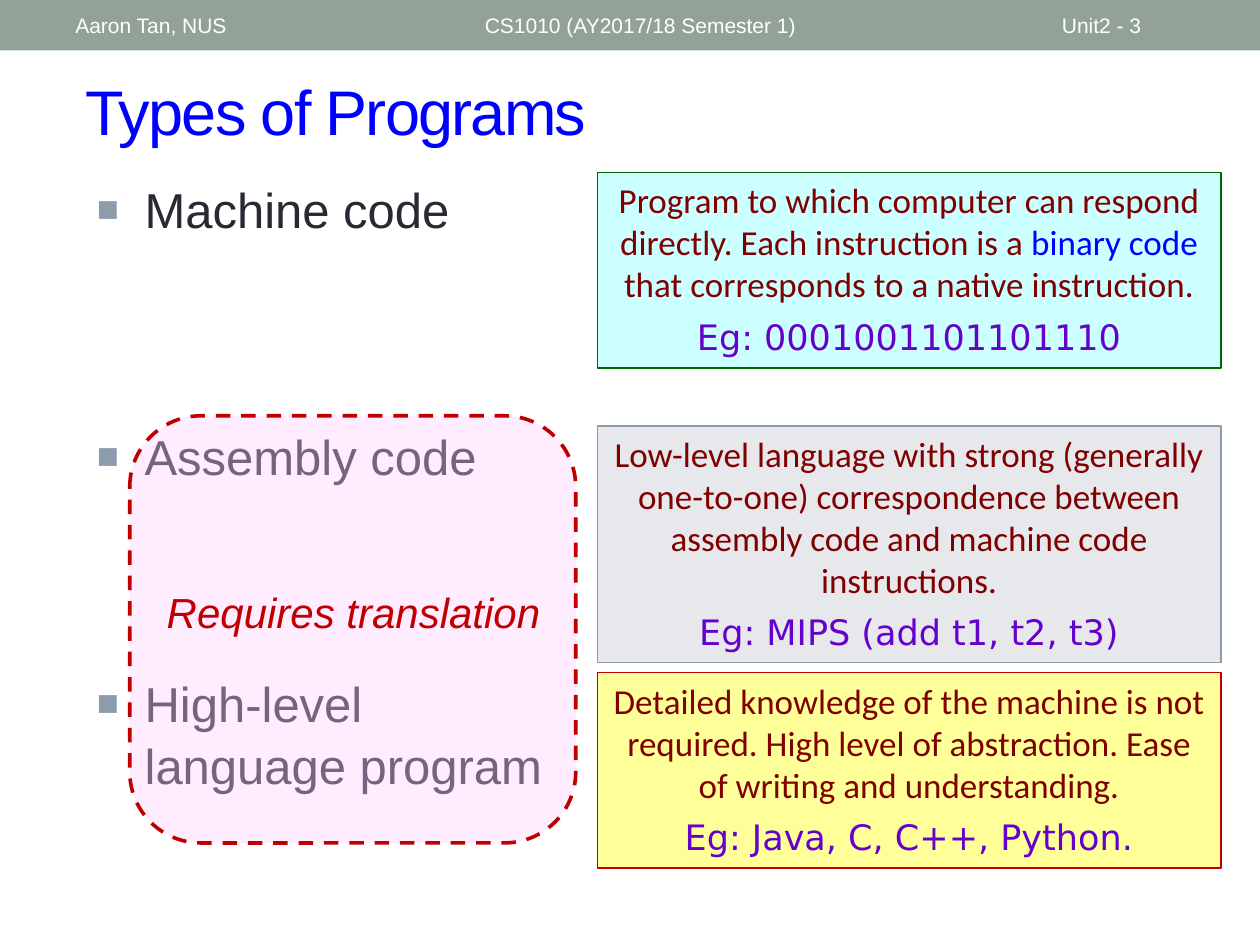
from dataclasses import dataclass

import pptx
import pptx.dml.color
import pptx.enum.dml
import pptx.enum.shapes
import pptx.enum.text
import pptx.oxml
import pptx.oxml.ns
import pptx.util

ALIGN = pptx.enum.text.PP_ALIGN
ANCHOR = pptx.enum.text.MSO_ANCHOR
SHAPE = pptx.enum.shapes.MSO_SHAPE


@dataclass(frozen=True)
class Theme:
    font: str = "Arial"
    body_font: str = "Calibri"
    example_font: str = "DejaVu Sans"
    band: str = "93A299"
    white: str = "FFFFFF"
    blue: str = "0000FF"
    ink: str = "292934"
    bullet: str = "8C9CAD"
    maroon: str = "800000"
    purple: str = "6600CC"
    red: str = "C00000"
    pink: str = "FFCCFF"
    header_size: float = 12
    title_size: float = 36
    list_size: float = 28
    note_size: float = 24
    body_size: float = 20


THEME = Theme()


@dataclass(frozen=True)
class Box:
    left: float
    top: float
    width: float
    height: float

    def share(self, x, y, w, h):
        """Box at percentages of this one."""
        return Box(self.left + self.width * x / 100, self.top + self.height * y / 100,
                   self.width * w / 100, self.height * h / 100)

    def emu(self):
        return [pptx.util.Inches(n) for n in (self.left, self.top, self.width, self.height)]


PAGE = Box(0, 0, 10, 7.5)

PROGRAM_TYPES = ["Machine code", "Assembly code", "High-level language program"]

# top and height in percent of the page, fill, line, description runs, example
DESCRIPTIONS = [
    (18.27, 20.67, "CCFFFF", "006600",
     [("Program to which computer can respond directly. Each instruction is a ", THEME.maroon),
      ("binary code ", THEME.blue),
      ("that corresponds to a native instruction.", THEME.maroon)],
     "Eg: 0001001101101110"),
    (45.07, 25.07, "E6E8EC", "8C9CAD",
     [("Low-level language with strong (generally one-to-one) correspondence between "
       "assembly code and machine code instructions.", THEME.maroon)],
     "Eg: MIPS (add t1, t2, t3)"),
    (71.2, 20.67, "FFFF99", "C00000",
     [("Detailed knowledge of the machine is not required. High level of abstraction. "
       "Ease of writing and understanding.", THEME.maroon)],
     "Eg: Java, C, C++, Python."),
]


def rgb(color):
    return pptx.dml.color.RGBColor.from_string(color)


def add_run(paragraph, text, size, color, font=THEME.font, italic=None):
    run = paragraph.add_run()
    run.text = text
    run.font.name = font
    run.font.size = pptx.util.Pt(size)
    run.font.color.rgb = rgb(color)
    run.font.italic = italic
    return run


def add_text_frame(shapes, box, anchor=ANCHOR.TOP):
    frame = shapes.add_textbox(*box.emu()).text_frame
    frame.word_wrap = True
    frame.vertical_anchor = anchor
    return frame


def add_panel(shapes, kind, box, fill, line=None, width=0.75):
    panel = shapes.add_shape(kind, *box.emu())
    panel.shadow.inherit = False
    panel.fill.solid()
    panel.fill.fore_color.rgb = rgb(fill)
    if line:
        panel.line.color.rgb = rgb(line)
        panel.line.width = pptx.util.Pt(width)
    else:
        panel.line.fill.background()
    return panel


def add_header(slide, box):
    add_panel(slide.shapes, SHAPE.RECTANGLE, box, THEME.band)
    for text, x, w in [("Aaron Tan, NUS", 5, 31.7),
                       ("CS1010 (AY2017/18 Semester 1)", 37.5, 45),
                       ("Unit2 - 3", 83.3, 11.7)]:
        frame = add_text_frame(slide.shapes, box.share(x, 5, w, 90), ANCHOR.MIDDLE)
        add_run(frame.paragraphs[0], text, THEME.header_size, THEME.white)


def set_title(slide, box, text):
    title = slide.shapes.title
    title.left, title.top, title.width, title.height = box.emu()
    title.text_frame.vertical_anchor = ANCHOR.MIDDLE
    paragraph = title.text_frame.paragraphs[0]
    paragraph.alignment = ALIGN.LEFT
    run = add_run(paragraph, text, THEME.title_size, THEME.blue)
    run.font._element.set("spc", "-100")


def add_bullet(paragraph):
    props = paragraph._p.get_or_add_pPr()
    indent = pptx.util.Inches(0.38)
    props.set("marL", str(indent))
    props.set("indent", str(-indent))
    namespace = pptx.oxml.ns.nsdecls("a")
    for element in (f'<a:buClr {namespace}><a:srgbClr val="{THEME.bullet}"/></a:buClr>',
                    f'<a:buSzPct {namespace} val="75000"/>',
                    f'<a:buFont {namespace} typeface="{THEME.font}"/>',
                    f'<a:buChar {namespace} char="■"/>'):
        props.append(pptx.oxml.parse_xml(element))


def add_type_list(slide, box):
    frame = add_text_frame(slide.shapes, box)
    for index, name in enumerate(PROGRAM_TYPES):
        paragraph = frame.add_paragraph() if index else frame.paragraphs[0]
        paragraph.line_spacing = 1.05
        if index:
            paragraph.space_before = pptx.util.Pt(106)
        add_bullet(paragraph)
        add_run(paragraph, name, THEME.list_size, THEME.ink)


def add_description(slide, box, fill, line, description, example):
    frame = add_panel(slide.shapes, SHAPE.RECTANGLE, box, fill, line).text_frame
    frame.word_wrap = True
    frame.vertical_anchor = ANCHOR.TOP
    body, sample = frame.paragraphs[0], frame.add_paragraph()
    body.alignment = sample.alignment = ALIGN.CENTER
    body.space_after = pptx.util.Pt(0.3 * THEME.body_size)
    for text, color in description:
        add_run(body, text, THEME.body_size, color, THEME.body_font)
    add_run(sample, example, THEME.body_size, THEME.purple, THEME.example_font)


def add_translation_note(slide, box):
    group = slide.shapes.add_group_shape()
    outline = add_panel(group.shapes, SHAPE.ROUNDED_RECTANGLE, box, THEME.pink, THEME.red, 2.08)
    outline.line.dash_style = pptx.enum.dml.MSO_LINE.DASH
    color = outline.fill._xPr.find(".//" + pptx.oxml.ns.qn("a:srgbClr"))
    color.append(pptx.oxml.parse_xml(
        f'<a:alpha {pptx.oxml.ns.nsdecls("a")} val="36000"/>'))
    frame = add_text_frame(group.shapes, box.share(4.8, 38.6, 90.7, 17))
    paragraph = frame.paragraphs[0]
    paragraph.alignment = ALIGN.CENTER
    add_run(paragraph, "Requires translation", THEME.note_size, THEME.red, italic=True)


def main():
    deck = pptx.Presentation()
    deck.slide_width = pptx.util.Inches(PAGE.width)
    deck.slide_height = pptx.util.Inches(PAGE.height)
    slide = deck.slides.add_slide(deck.slide_layouts.get_by_name("Title Only"))

    add_header(slide, PAGE.share(0, 0, 100, 5.33))
    set_title(slide, PAGE.share(5.8, 6.67, 89.2, 10), "Types of Programs")
    add_type_list(slide, PAGE.share(6.7, 18, 39, 71))
    for top, height, *content in DESCRIPTIONS:
        add_description(slide, PAGE.share(47.4, top, 49.5, height), *content)
    add_translation_note(slide, PAGE.share(10.3, 44, 35.4, 45.2))
    deck.save("out.pptx")


if __name__ == "__main__":
    main()
